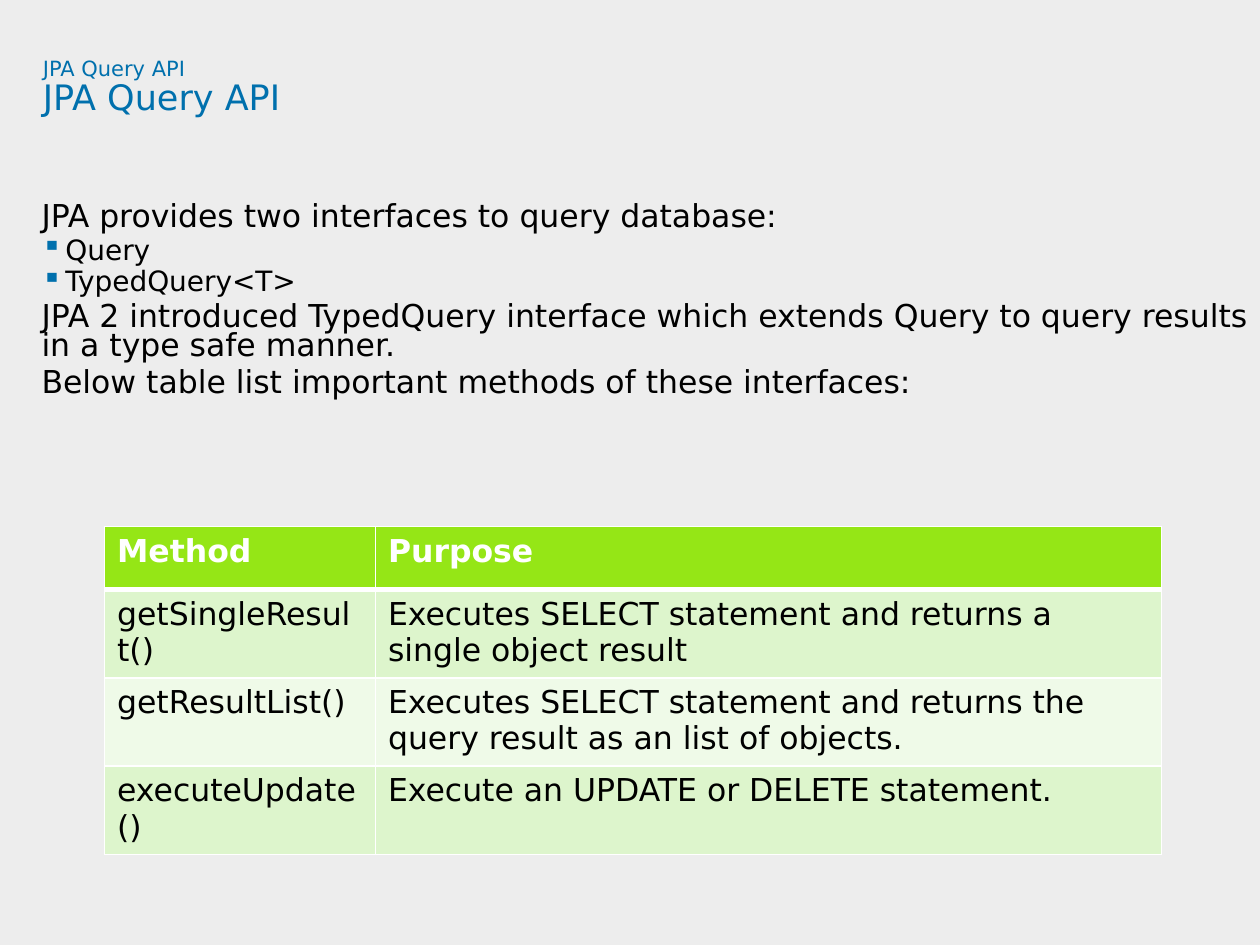
from lxml.etree import SubElement
from pptx import Presentation
from pptx.dml.color import RGBColor
from pptx.enum.shapes import MSO_SHAPE as Shape
from pptx.oxml import parse_xml
from pptx.oxml.ns import nsdecls, qn
from pptx.util import Inches, Pt

FONT = "DejaVu Sans"
BLUE, BLACK, WHITE = "0070AD", "000000", "FFFFFF"
BACKDROP, HEADER = "EDEDED", "95E616"
BANDS = ["DDF5CC", "EFFAE8"]

BODY = [
    ("JPA provides two interfaces to query database:", False),
    ("Query", True),
    ("TypedQuery<T>", True),
    ("JPA 2 introduced TypedQuery interface which extends Query to query "
     "results in a type safe manner.", False),
    ("Below table list important methods of these interfaces:", False),
]
METHODS = [
    ("Method", "Purpose"),
    ("getSingleResult()",
     "Executes SELECT statement and returns a single object result"),
    ("getResultList()",
     "Executes SELECT statement and returns the query result as an list of objects."),
    ("executeUpdate()", "Execute an UPDATE or DELETE statement."),
]


def color(value):
    return RGBColor.from_string(value)


def set_values(target, values):
    for name, value in values.items():
        setattr(target, name, value)


def add_span(para, text, size, ink=BLACK, bold=False):
    span = para.add_run()
    span.text = text
    set_values(span.font, {"name": FONT, "size": Pt(size), "bold": bold})
    span.font.color.rgb = color(ink)


def add_backdrop(page, width, height):
    panel = page.shapes.add_shape(Shape.RECTANGLE, 0, 0, width, height)
    panel.shadow.inherit = False
    panel.fill.solid()
    panel.fill.fore_color.rgb = color(BACKDROP)
    panel.line.fill.background()


def add_frame(page, left, top, width, height):
    box = page.shapes.add_textbox(
        Inches(left), Inches(top), Inches(width), Inches(height))
    frame = box.text_frame
    set_values(frame, {"word_wrap": True, "margin_left": 0, "margin_top": 0,
                       "margin_right": 0, "margin_bottom": 0})
    return frame


def add_title(page):
    para = add_frame(page, 0.34, 0.46, 9.09, 0.94).paragraphs[0]
    para.line_spacing = 0.9
    add_span(para, "JPA Query API", 12, BLUE)
    para.add_line_break()
    add_span(para, "JPA Query API", 20, BLUE)


def add_bullet(para):
    properties = para._p.get_or_add_pPr()
    indent = Inches(0.19)
    properties.set("marL", str(indent))
    properties.set("indent", str(-indent))
    tint = SubElement(properties, qn("a:buClr"))
    SubElement(tint, qn("a:srgbClr"), val=BLUE)
    SubElement(properties, qn("a:buChar"), char="▪")


def add_body(page):
    frame = add_frame(page, 0.33, 1.63, 9.67, 5.08)
    for index, (text, bulleted) in enumerate(BODY):
        para = frame.add_paragraph() if index else frame.paragraphs[0]
        set_values(para, {"line_spacing": Pt(13.5 if bulleted else 16.5),
                          "space_after": Pt(4.5)})
        if bulleted:
            para.level = 1
            add_bullet(para)
        add_span(para, text, 16 if bulleted else 18)


def set_borders(cell, widths):
    properties = cell._tc.get_or_add_tcPr()
    for index, (side, width) in enumerate(widths.items()):
        properties.insert(index, parse_xml(
            f'<a:{side} {nsdecls("a")} w="{Pt(width)}"><a:solidFill>'
            f'<a:srgbClr val="{WHITE}"/></a:solidFill></a:{side}>'))


def fill_cell(cell, text, row):
    heading = row == 0
    cell.fill.solid()
    cell.fill.fore_color.rgb = color(HEADER if heading else BANDS[(row - 1) % 2])
    add_span(cell.text_frame.paragraphs[0], text, 18,
             WHITE if heading else BLACK, heading)
    set_borders(cell, {"lnL": 1, "lnR": 1, "lnT": 3 if row == 1 else 1,
                       "lnB": 3 if heading else 1})


def add_methods(page):
    table = page.shapes.add_table(
        len(METHODS), 2, Inches(0.83), Inches(4.18), Inches(8.39), Inches(2)).table
    for column, width in zip(table.columns, (2.15, 6.24)):
        column.width = Inches(width)
    for row, texts in enumerate(METHODS):
        table.rows[row].height = Inches(0.68 if row else 0.5)
        for column, text in enumerate(texts):
            fill_cell(table.cell(row, column), text, row)


def main():
    deck = Presentation()
    set_values(deck, {"slide_width": Inches(10), "slide_height": Inches(7.5)})
    page = deck.slides.add_slide(deck.slide_layouts[6])
    add_backdrop(page, deck.slide_width, deck.slide_height)
    add_title(page)
    add_body(page)
    add_methods(page)
    deck.save("out.pptx")


if __name__ == "__main__":
    main()
